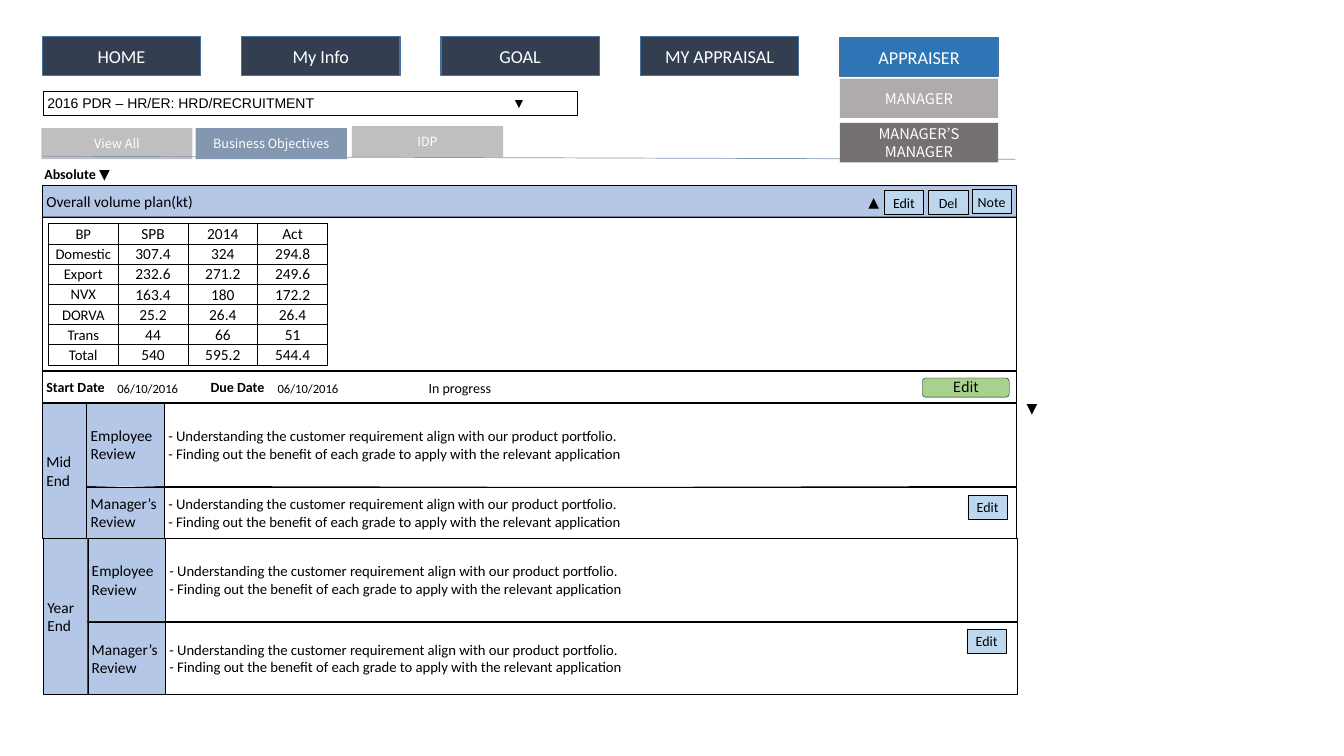
import pptx
import pptx.dml.color
import pptx.enum.shapes
import pptx.enum.text
import pptx.oxml
import pptx.oxml.ns
import pptx.util
from pptx.util import Inches

SHAPES = pptx.enum.shapes.MSO_SHAPE
ALIGN = pptx.enum.text.PP_ALIGN
ANCHOR = pptx.enum.text.MSO_ANCHOR
NAMESPACE = pptx.oxml.ns.nsdecls("a")
NOTO = "Noto Sans CJK KR"
TIGHT = (0.04, 0.04, 0.04, 0.04)
ROOMY = (0.1, 0.05, 0.1, 0.05)
PALE_BLUE = "B4C7E7"
REVIEW = [
    "- Understanding the customer requirement align with our product portfolio.",
    "- Finding out the benefit of each grade to apply with the relevant application",
]
VOLUMES = [
    ("BP", "SPB", "2014", "Act"),
    ("Domestic", "307.4", "324", "294.8"),
    ("Export", "232.6", "271.2", "249.6"),
    ("NVX", "163.4", "180", "172.2"),
    ("DORVA", "25.2", "26.4", "26.4"),
    ("Trans", "44", "66", "51"),
    ("Total", "540", "595.2", "544.4"),
]


def rgb(value):
    """Turn a hex string into a colour."""
    return pptx.dml.color.RGBColor.from_string(value)


def add_run(paragraph, text, size, font="Calibri", color="000000", bold=False):
    """Add one formatted run."""
    run = paragraph.add_run()
    run.text = text
    run.font.size = pptx.util.Pt(size)
    run.font.name = font
    run.font.bold = bold
    run.font.color.rgb = rgb(color)


def write(frame, lines, size, align=ALIGN.LEFT, anchor=ANCHOR.MIDDLE, insets=TIGHT,
          tab=None, **style):
    """Fill a text frame; a newline inside a line becomes a line break."""
    frame.word_wrap = True
    frame.vertical_anchor = anchor
    left, top, right, bottom = map(Inches, insets)
    frame.margin_left, frame.margin_top = left, top
    frame.margin_right, frame.margin_bottom = right, bottom
    for index, line in enumerate(lines):
        paragraph = frame.add_paragraph() if index else frame.paragraphs[0]
        paragraph.alignment = align
        if tab:
            paragraph._p.get_or_add_pPr().append(pptx.oxml.parse_xml(
                f'<a:tabLst {NAMESPACE}><a:tab pos="{Inches(tab)}" algn="l"/></a:tabLst>'))
        for part_index, part in enumerate(line.split("\n")):
            if part_index:
                paragraph.add_line_break()
            add_run(paragraph, part, size, **style)


def add_panel(slide, box, lines=(), size=10, fill=None, line="000000", weight=0.25,
              kind=SHAPES.RECTANGLE, **text):
    """Add a filled or outlined shape with text."""
    panel = slide.shapes.add_shape(kind, *map(Inches, box))
    panel.shadow.inherit = False
    if fill:
        panel.fill.solid()
        panel.fill.fore_color.rgb = rgb(fill)
    else:
        panel.fill.background()
    if line:
        panel.line.color.rgb = rgb(line)
        panel.line.width = pptx.util.Pt(weight)
    else:
        panel.line.fill.background()
    if lines:
        write(panel.text_frame, lines, size, **text)


def add_label(slide, box, text, size, **style):
    """Add a plain text box and return its frame."""
    frame = slide.shapes.add_textbox(*map(Inches, box)).text_frame
    write(frame, [text], size, **style)
    return frame


def add_nav(slide, left, top, text, fill, size=13, line="43739E", font="Calibri"):
    """Add a navigation button."""
    add_panel(slide, (left, top, 1.57, 0.39), [text], size, fill, line, 1,
              align=ALIGN.CENTER, insets=ROOMY, font=font, color="FFFFFF")


def add_button(slide, left, top, text):
    """Add a small action button."""
    add_panel(slide, (left, top, 0.39, 0.24), [text], 10, "BDD7EE", align=ALIGN.CENTER)


def add_review(slide, left, top, heights, period):
    """Add the employee and manager reviews of one period."""
    add_panel(slide, (left, top, 0.44, sum(heights) + 0.01), period, 11, PALE_BLUE)
    for role, offset, height in zip(("Employee", "Manager’s"), (0, 0.83), heights):
        add_panel(slide, (left + 1.21, top + offset, 9.66 - 1.21, height), REVIEW, 10.5)
        add_panel(slide, (left + 0.44, top + offset, 0.77, height),
                  [f"{role}\nReview"], 11, PALE_BLUE)


def add_volume_table(slide):
    """Add the volume plan table with thin black borders."""
    box = map(Inches, (0.48, 2.22, 2.77, 1.4))
    table = slide.shapes.add_table(len(VOLUMES), len(VOLUMES[0]), *box).table
    table.first_row = table.horz_banding = False
    for row, values in enumerate(VOLUMES):
        for column, value in enumerate(values):
            cell = table.cell(row, column)
            cell.margin_left = cell.margin_top = cell.margin_right = Inches(0.01)
            cell.margin_bottom = 0
            cell.vertical_anchor = ANCHOR.MIDDLE
            paragraph = cell.text_frame.paragraphs[0]
            paragraph.alignment = ALIGN.CENTER
            add_run(paragraph, value, 11 if column else 10.5)
            properties = cell._tc.get_or_add_tcPr()
            for side in ("lnL", "lnR", "lnT", "lnB"):
                properties.append(pptx.oxml.parse_xml(
                    f'<a:{side} {NAMESPACE} w="6350"><a:solidFill>'
                    f'<a:srgbClr val="000000"/></a:solidFill></a:{side}>'))
            cell.fill.background()


def add_tab_line(slide):
    """Add the thin line under the tabs."""
    ends = map(Inches, (0.42, 1.55, 10.07, 1.58))
    rule = slide.shapes.add_connector(pptx.enum.shapes.MSO_CONNECTOR.STRAIGHT, *ends)
    rule.line.color.rgb = rgb("8497B0")
    rule.line.width = pptx.util.Pt(0.5)
    rule._element.spPr.append(pptx.oxml.parse_xml(f"<a:effectLst {NAMESPACE}/>"))


def main():
    """Build the appraisal page."""
    deck = pptx.Presentation()
    deck.slide_width, deck.slide_height = Inches(13.33), Inches(7.5)
    slide = deck.slides.add_slide(deck.slide_layouts[6])

    for index, name in enumerate(("HOME", "My Info", "GOAL", "MY APPRAISAL")):
        add_nav(slide, 0.42 + index * 1.977, 0.36, name, "333F50")
    add_panel(slide, (0.43, 0.9, 5.29, 0.24), ["2016 PDR – HR/ER: HRD/RECRUITMENT\t▼"],
              font="Arial", tab=4.61)
    for left, top, name, fill in ((0.41, 1.27, "View All", "BFBFBF"),
                                  (1.94, 1.27, "Business Objectives", "8497B0"),
                                  (3.49, 1.25, "IDP", "BFBFBF")):
        add_panel(slide, (left, top, 1.5, 0.31), [name], 9, fill, None,
                  align=ALIGN.CENTER, insets=ROOMY, font=NOTO, color="FFFFFF")
    add_tab_line(slide)
    add_nav(slide, 8.33, 0.37, "APPRAISER", "2E75B6")
    add_nav(slide, 8.33, 0.78, "MANAGER", "AFABAB", 10.5, None, NOTO)
    add_nav(slide, 8.33, 1.22, "MANAGER’S MANAGER", "767171", 10.5, None, NOTO)

    absolute = add_label(slide, (0.42, 1.62, 1.66, 0.21), "Absolute ", 10, bold=True,
                         anchor=ANCHOR.TOP, insets=(0.02, 0.02, 0.02, 0.02))
    add_run(absolute.paragraphs[0], "▼", 10)

    add_panel(slide, (0.42, 2.14, 9.66, 1.53))
    add_panel(slide, (0.42, 1.84, 9.66, 0.31), ["Overall volume plan(kt)"], 11, PALE_BLUE)
    add_volume_table(slide)
    for left, top, name in ((8.77, 1.89, "Edit"), (9.21, 1.89, "Del"), (9.64, 1.88, "Note")):
        add_button(slide, left, top, name)

    add_panel(slide, (0.42, 3.68, 9.66, 0.31), ["Start Date\tDue Date"], bold=True, tab=1.63)
    for left in (1.09, 2.68):
        add_label(slide, (left, 3.77, 0.75, 0.16), "06/10/2016", 9, align=ALIGN.CENTER)
    add_panel(slide, (4.07, 3.77, 0.98, 0.16), ["In progress"], 10, "FFFFFF", None,
              align=ALIGN.CENTER)
    add_panel(slide, (9.15, 3.75, 0.86, 0.19), ["Edit"], 10, "A9D18E",
              kind=SHAPES.ROUNDED_RECTANGLE, align=ALIGN.CENTER, anchor=ANCHOR.TOP,
              insets=(0.02, 0, 0.02, 0), font=NOTO)
    for left, top, arrow in ((8.52, 1.87, "▲"), (10.09, 3.91, "▼")):
        add_label(slide, (left, top, 0.24, 0.27), arrow, 10, align=ALIGN.CENTER,
                  anchor=ANCHOR.TOP, insets=(0.05, 0.05, 0, 0.05))

    add_review(slide, 0.42, 4, (0.82, 0.51), ["Mid", "End"])
    add_review(slide, 0.43, 5.34, (0.82, 0.72), ["Year\nEnd"])
    add_button(slide, 9.6, 4.91, "Edit")
    add_button(slide, 9.59, 6.24, "Edit")
    deck.save("out.pptx")


if __name__ == "__main__":
    main()
